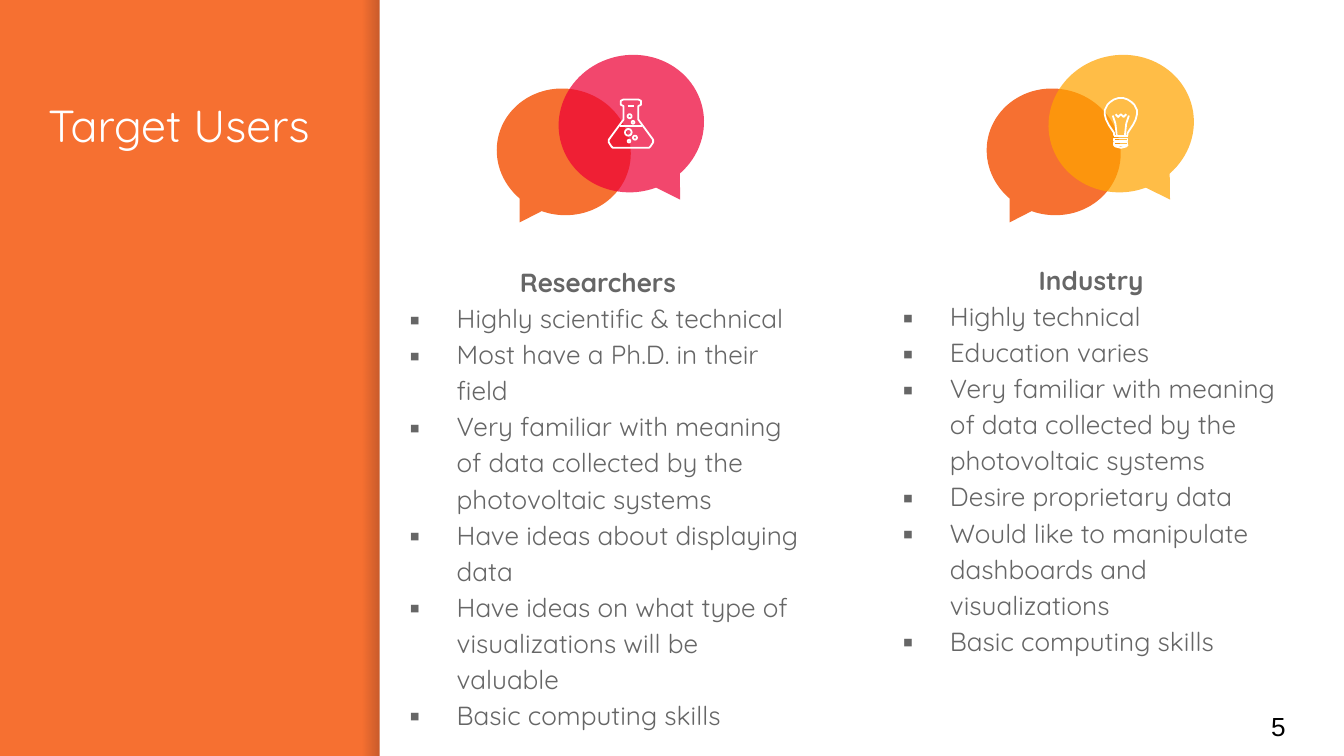
from lxml import etree
from pptx import Presentation
from pptx.dml.color import RGBColor
from pptx.enum.shapes import MSO_CONNECTOR, MSO_SHAPE
from pptx.enum.text import MSO_ANCHOR, PP_ALIGN
from pptx.oxml.ns import qn
from pptx.util import Pt

PX = 4572  # 200 px to the inch
ICON_UNIT = 2  # px to one step of the icon grid
RECT, OVAL = MSO_SHAPE.RECTANGLE, MSO_SHAPE.OVAL
CALLOUT = MSO_SHAPE.OVAL_CALLOUT
STRAIGHT = MSO_CONNECTOR.STRAIGHT
TOP, MIDDLE = MSO_ANCHOR.TOP, MSO_ANCHOR.MIDDLE
CENTER = PP_ALIGN.CENTER
FONT = "Quicksand"
ORANGE, WHITE, GREY = "F67031", "FFFFFF", "666666"

RESEARCHER_TRAITS = [
    "Highly scientific & technical",
    "Most have a Ph.D. in their field",
    "Very familiar with meaning of data collected by the photovoltaic systems",
    "Have ideas about displaying data",
    "Have ideas on what type of visualizations will be valuable",
    "Basic computing skills",
]
INDUSTRY_TRAITS = [
    "Highly technical",
    "Education varies",
    "Very familiar with meaning of data collected by the photovoltaic systems",
    "Desire proprietary data",
    "Would like to manipulate dashboards and visualizations",
    "Basic computing skills",
]


def px(*lengths):
    return [length * PX for length in lengths]


def rgb(color):
    return RGBColor.from_string(color)


def set_alpha(color_element, percent):
    etree.SubElement(color_element, qn("a:alpha"), val=str(percent * 1000))


def add_filled(shapes, kind, box, color, alpha=100):
    shape = shapes.add_shape(kind, *px(*box))
    shape.shadow.inherit = False
    shape.fill.solid()
    shape.fill.fore_color.rgb = rgb(color)
    shape.line.fill.background()
    if alpha < 100:
        set_alpha(next(shape._element.spPr.iter(qn("a:srgbClr"))), alpha)
    return shape


def add_text_box(shapes, box, anchor=TOP):
    frame = shapes.add_textbox(*px(*box)).text_frame
    frame.word_wrap = True
    frame.vertical_anchor = anchor
    frame.margin_left = frame.margin_right = 20 * PX
    frame.margin_top = frame.margin_bottom = 20 * PX
    return frame


def add_run(paragraph, text, size, color, font=FONT, bold=False):
    run = paragraph.add_run()
    run.text = text
    run.font.size = Pt(size)
    run.font.name = font
    run.font.bold = bold
    run.font.color.rgb = rgb(color)


def add_bullet(paragraph):
    props = paragraph._p.get_or_add_pPr()
    props.set("marL", str(100 * PX))
    props.set("indent", str(-70 * PX))
    bullet_color = etree.SubElement(props, qn("a:buClr"))
    etree.SubElement(bullet_color, qn("a:srgbClr"), val=GREY)
    etree.SubElement(props, qn("a:buFont"), typeface=FONT)
    etree.SubElement(props, qn("a:buChar"), char="▪")


def add_panels(shapes, left, width, height):
    """White content panel and the soft shadow it casts to its left."""
    shadow = add_filled(shapes, RECT, (left - 25, 0, 25, height), WHITE)
    shadow.fill.gradient()
    shadow.fill.gradient_angle = 0
    for stop in shadow.fill.gradient_stops:
        stop.color.rgb = rgb("000014")
    for stop_color, alpha in zip(shadow._element.spPr.iter(qn("a:srgbClr")), (0, 20)):
        set_alpha(stop_color, alpha)
    add_filled(shapes, RECT, (left, 0, width, height), WHITE)


class Icon:
    """Group of white strokes placed relative to its top left corner."""

    def __init__(self, shapes, left, top):
        self.shapes = shapes.add_group_shape().shapes
        self.left, self.top = left, top

    def at(self, x, y):
        return px(self.left + x * ICON_UNIT, self.top + y * ICON_UNIT)

    def stroke(self, shape):
        shape.line.color.rgb = rgb(WHITE)
        shape.line.width = Pt(0.96)

    def outline(self, points, close=False):
        start, *rest = [self.at(*point) for point in points]
        builder = self.shapes.build_freeform(*start)
        builder.add_line_segments(rest, close=close)
        shape = builder.convert_to_shape()
        shape.shadow.inherit = False
        shape.fill.background()
        self.stroke(shape)

    def line(self, x1, x2, y):
        rule = self.shapes.add_connector(STRAIGHT, *self.at(x1, y), *self.at(x2, y))
        etree.SubElement(rule._element.spPr, qn("a:effectLst"))
        self.stroke(rule)

    def circle(self, x, y, size):
        diameter = size * ICON_UNIT
        shape = self.shapes.add_shape(OVAL, *self.at(x, y), *px(diameter, diameter))
        shape.shadow.inherit = False
        shape.fill.background()
        self.stroke(shape)


def mirrored(half, width):
    """The left half of an outline followed by its reflection."""
    return half + [(width - x, y) for x, y in reversed(half)]


def draw_flask(shapes, left, top):
    flask = Icon(shapes, left, top)
    glass = [(3, 36), (2, 35), (0, 32), (0, 30), (11, 15), (11, 5),
             (9, 4), (9, 1), (11, 0)]
    flask.outline(mirrored(glass, 33), close=True)
    flask.line(8, 25, 20)
    flask.line(14, 19, 5)
    for x, y, size in [(18, 27, 3), (12, 22, 5), (14, 30, 2), (17, 16, 2), (14, 11, 3)]:
        flask.circle(x, y, size)


def draw_bulb(shapes, left, top):
    bulb = Icon(shapes, left, top)
    glass = [(7, 28), (7, 26), (5, 23), (3, 20), (1, 16), (0, 12), (0, 9),
             (2, 5), (4, 3), (7, 1), (10, 0)]
    filament = [(9, 28), (8, 19), (6, 13)]
    bulb.outline(mirrored(glass, 24))
    bulb.outline(filament)
    bulb.outline([(24 - x, y) for x, y in filament])
    bulb.outline([(8, 12), (10, 14), (12, 12), (14, 14), (16, 12)])
    bulb.line(7, 17, 28)
    for y in (30, 33):
        bulb.outline([(7, y), (17, y), (17, y + 2), (7, y + 2)], close=True)
    bulb.outline([(7, 35), (8, 36), (12, 37), (16, 36), (17, 35)], close=True)


def add_speech_bubbles(shapes, left, top, front_color):
    back = add_filled(shapes, CALLOUT, (left, top + 50, 200, 188), ORANGE)
    back.rotation = 12.2
    front = add_filled(shapes, CALLOUT, (left + 92, top, 217, 204), front_color, 72)
    front.rotation = 347.1
    front._element.spPr.find(qn("a:xfrm")).set("flipH", "1")
    for bubble in (back, front):
        bubble.adjustments[0] = -0.21
        bubble.adjustments[1] = 0.62


def add_user_group(shapes, left, top, heading, traits):
    frame = add_text_box(shapes, (left, top, 660, 628))
    title = frame.paragraphs[0]
    title.alignment = CENTER
    title.line_spacing = 1.15
    add_run(title, heading, 14, GREY, bold=True)
    for trait in traits:
        item = frame.add_paragraph()
        item.line_spacing = 1.15
        add_bullet(item)
        add_run(item, trait, 14, GREY)


def main():
    deck = Presentation()
    deck.slide_width, deck.slide_height = px(2000, 1125)
    slide = deck.slides.add_slide(deck.slide_layouts[6])
    slide.background.fill.solid()
    slide.background.fill.fore_color.rgb = rgb(ORANGE)
    shapes = slide.shapes

    add_panels(shapes, 565, 1435, 1125)
    title = add_text_box(shapes, (52, 126, 448, 870))
    add_run(title.paragraphs[0], "Target Users", 24, WHITE)

    add_user_group(shapes, 560, 370, "Researchers", RESEARCHER_TRAITS)
    add_speech_bubbles(shapes, 739, 82, "ED0036")
    draw_flask(shapes, 906, 148)

    add_user_group(shapes, 1294, 367, "Industry", INDUSTRY_TRAITS)
    add_speech_bubbles(shapes, 1468, 82, "FFA400")
    draw_bulb(shapes, 1644, 146)

    page = add_text_box(shapes, (1872, 1038, 120, 86), MIDDLE)
    add_run(page.paragraphs[0], "5", 14, "000000", font="Arial")
    deck.save("out.pptx")


if __name__ == "__main__":
    main()
